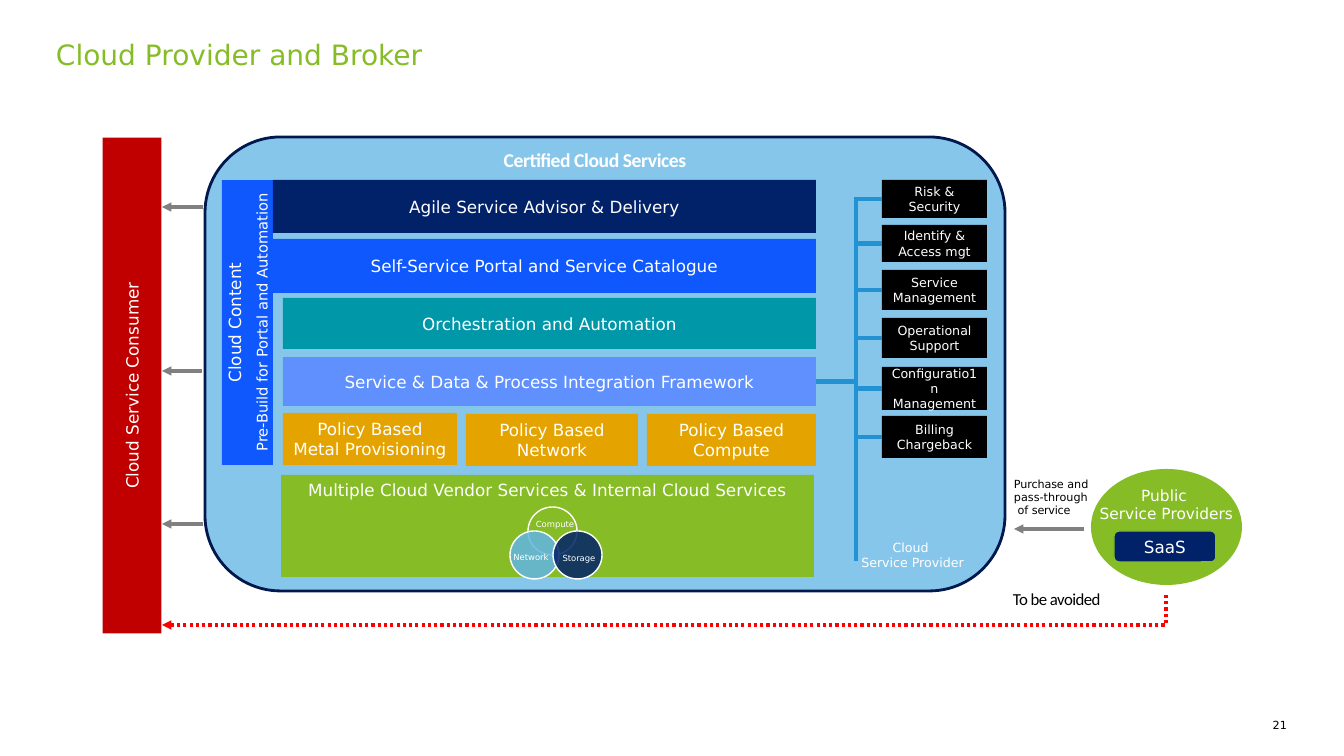
import pptx
import pptx.dml.color
import pptx.enum.dml
import pptx.enum.shapes
import pptx.enum.text
import pptx.oxml
import pptx.oxml.ns
import pptx.util
import lxml.etree

# Content: lengths in px, boxes as (left, top, width, height)
WHITE, BLACK, NAVY, GREEN = "FFFFFF", "000000", "012169", "86BC25"
BLUE, SKY, AMBER, LINK, GRAY = "0F58FD", "62B5E5", "E5A300", "2392D2", "808080"
SANS, CALIBRI = "DejaVu Sans", "Calibri"

TITLE = "Cloud Provider and Broker"
PANEL = (205, 137, 800, 454)
SIDE_BARS = [  # turned by 270 degrees, runs are (text, size, letter spacing)
    ((-116, 356, 496, 59), "C00000", [[("Cloud Service Consumer", 12, 0)]]),
    ((105, 297, 285, 51), BLUE, [[("Cloud Content", 12, 0)],
                                 [("Pre-Build for Portal and Automation", 10.5, 0)]]),
]
LAYERS = [
    ("Agile Service Advisor & Delivery", (273, 180, 543, 53), NAVY),
    ("Self-Service Portal and Service Catalogue", (273, 239, 543, 54), BLUE),
    ("Orchestration and Automation", (283, 298, 533, 51), "0097A9"),
    ("Policy Based Metal Provisioning", (283, 413, 174, 52), AMBER),
    ("Policy Based Network", (466, 414, 172, 52), AMBER),
    ("Policy Based Compute", (647, 414, 169, 52), AMBER),
    ("Service & Data & Process Integration Framework", (283, 357, 533, 49), "5F90FD"),
]
VENDORS = ("Multiple Cloud Vendor Services & Internal Cloud Services", (281, 475, 533, 102))
CONTROL_LEFT, CONTROL_WIDTH = 882, 105
CONTROLS = [  # text, top, height, side margin
    ("Risk &\nSecurity", 180, 38, 10), ("Identify & Access mgt", 225, 37, 10),
    ("Service Management", 270, 40, 10), ("Operational Support", 318, 40, 10),
    ("Configuratio1n Management", 367, 43, 6), ("Billing Chargeback", 416, 42, 10),
]
TRUNK_X, TRUNK_BOTTOM = 856, 561
CIRCLE_WIDTH, CIRCLE_HEIGHT = 49, 48
CIRCLES = [  # label, circle corner, fill, label box
    ("Compute", (528, 507), GREEN, (534, 519, 42, 10)),
    ("Network", (510, 531), SKY, (510, 552, 42, 10)),
    ("Storage", (553, 531), NAVY, (558, 553, 42, 10)),
]
NOTES = [  # box, paragraphs, font, colour, bold, centred, top margin
    ((222, 147, 746, 25), [[("Certified Cloud Services", 14, -0.3)]], CALIBRI, WHITE, True, True, 1),
    ((847, 540, 131, 29), [[("Cloud \nService Provider", 9, 0)]], SANS, WHITE, False, True, 0),
    ((1014, 476, 80, 42), [[("Purchase ", 8, -0.1), ("and \npass-through\n of ", 8, 0),
                            ("service", 8, -0.2)]], SANS, BLACK, False, False, 1),
    ((1013, 588, 121, 22), [[("To be avoided", 12, -0.4)]], CALIBRI, BLACK, False, False, 1),
]
ARROWS = [((203, 207), (162, 207)), ((202, 371), (162, 371)),
          ((203, 524), (162, 524)), ((1084, 529), (1014, 529))]
AVOIDED_ROUTE = ((1166, 595), (162, 625))

SHAPE = pptx.enum.shapes.MSO_SHAPE
CONNECTOR = pptx.enum.shapes.MSO_CONNECTOR
ALIGN = pptx.enum.text.PP_ALIGN
ANCHOR = pptx.enum.text.MSO_ANCHOR


def px(length):
    return round(length * 914400 / 100.8)


def emu(lengths):
    return [px(length) for length in lengths]


def rgb(color):
    return pptx.dml.color.RGBColor.from_string(color)


def write(shape, paragraphs, color=WHITE, font=SANS, bold=False, align=ALIGN.CENTER,
          anchor=ANCHOR.MIDDLE, margins=(10, 5, 10, 5), wrap=True):
    """Fill a shape with paragraphs, each a list of (text, size, letter spacing)."""
    frame = shape.text_frame
    frame.word_wrap = wrap
    frame.auto_size = pptx.enum.text.MSO_AUTO_SIZE.NONE
    frame.vertical_anchor = anchor
    (frame.margin_left, frame.margin_top,
     frame.margin_right, frame.margin_bottom) = emu(margins)
    for index, runs in enumerate(paragraphs):
        para = frame.add_paragraph() if index else frame.paragraphs[0]
        para.alignment = align
        para.space_before = pptx.util.Pt(6 if index else 0)
        for text, size, spacing in runs:
            for row, part in enumerate(text.split("\n")):
                if row:
                    para.add_line_break()
                span = para.add_run()
                span.text = part
                span.font.name = font
                span.font.size = pptx.util.Pt(size)
                span.font.bold = bold
                span.font.color.rgb = rgb(color)
                if spacing:
                    span.font._element.set("spc", str(round(spacing * 100)))


def add_block(page, kind, box, fill, line=None, width=1, opacity=100):
    shape = page.shapes.add_shape(kind, *emu(box))
    shape.shadow.inherit = False
    shape.fill.solid()
    shape.fill.fore_color.rgb = rgb(fill)
    if opacity < 100:
        color = shape._element.spPr.find(".//" + pptx.oxml.ns.qn("a:srgbClr"))
        lxml.etree.SubElement(color, pptx.oxml.ns.qn("a:alpha"), val=str(opacity * 1000))
    if line:
        shape.line.color.rgb = rgb(line)
        shape.line.width = pptx.util.Pt(width)
    else:
        shape.line.fill.background()
    return shape


def add_text(page, box, paragraphs, **style):
    write(page.shapes.add_textbox(*emu(box)), paragraphs, **style)


def add_line(page, start, end, color, width, arrow=False, kind=CONNECTOR.STRAIGHT):
    line = page.shapes.add_connector(kind, *emu(start + end))
    line.line.color.rgb = rgb(color)
    line.line.width = pptx.util.Pt(width)
    if arrow:
        lxml.etree.SubElement(line.line._get_or_add_ln(), pptx.oxml.ns.qn("a:tailEnd"),
                              type="triangle")
    lxml.etree.SubElement(line._element.spPr, pptx.oxml.ns.qn("a:effectLst"))
    return line


def add_layers(page):
    for box, fill, paragraphs in SIDE_BARS:
        bar = add_block(page, SHAPE.RECTANGLE, box, fill)
        bar.rotation = 270
        write(bar, paragraphs)
    for text, box, fill in LAYERS:
        layer = add_block(page, SHAPE.RECTANGLE, box, fill)
        write(layer, [[(text, 12, 0)]])
    left, top, width, height = box
    middle = top + height / 2
    link = add_line(page, (left + width, middle), (TRUNK_X, middle), LINK, 3)
    link.begin_connect(layer, 3)


def add_controls(page):
    trunk_top = CONTROLS[0][1] + CONTROLS[0][2] / 2 - 2
    add_line(page, (TRUNK_X, TRUNK_BOTTOM), (TRUNK_X, trunk_top), LINK, 3)
    for text, top, height, margin in CONTROLS:
        control = add_block(page, SHAPE.RECTANGLE,
                            (CONTROL_LEFT, top, CONTROL_WIDTH, height), BLACK)
        write(control, [[(text, 9, 0)]], margins=(margin, 5, margin, 5))
        middle = top + height / 2
        branch = add_line(page, (CONTROL_LEFT, middle), (TRUNK_X, middle), LINK, 3)
        branch.begin_connect(control, 1)


def add_vendors(page):
    text, box = VENDORS
    vendors = add_block(page, SHAPE.RECTANGLE, box, GREEN)
    write(vendors, [[(text, 12, 0)]], anchor=ANCHOR.TOP)
    for label, corner, fill, label_box in CIRCLES:
        add_block(page, SHAPE.OVAL, corner + (CIRCLE_WIDTH, CIRCLE_HEIGHT), fill, WHITE, 1, 85)
        add_text(page, label_box, [[(label, 6, 0)]], margins=(0, 0, 0, 0),
                 anchor=ANCHOR.TOP, wrap=False)


def add_public_providers(page):
    oval = add_block(page, SHAPE.OVAL, (1091, 469, 151, 116), GREEN)
    write(oval, [[("Public \nService Providers", 11, 0)]], anchor=ANCHOR.TOP,
          margins=(0, 0, 0, 0), wrap=False)
    saas = add_block(page, SHAPE.ROUNDED_RECTANGLE, (1114, 531, 102, 31), NAVY, GREEN)
    write(saas, [[("SaaS", 12, 0)]])


def add_arrows(page):
    for start, end in ARROWS:
        add_line(page, start, end, GRAY, 2.25, arrow=True)
    route = add_line(page, *AVOIDED_ROUTE, "FF0000", 2.25, arrow=True, kind=CONNECTOR.ELBOW)
    route.line.dash_style = pptx.enum.dml.MSO_LINE.ROUND_DOT
    guides = route._element.spPr.find(".//" + pptx.oxml.ns.qn("a:avLst"))
    lxml.etree.SubElement(guides, pptx.oxml.ns.qn("a:gd"), name="adj1", fmla="val 0")


def main():
    deck = pptx.Presentation()
    deck.slide_width, deck.slide_height = emu((1344, 756))
    page = deck.slides.add_slide(deck.slide_layouts[5])
    title = page.shapes.title
    title.left, title.top, title.width, title.height = emu((56, 37, 1232, 34))
    write(title, [[(TITLE, 20, 0)]], color=GREEN, align=ALIGN.LEFT, margins=(0, 0, 0, 0))
    add_block(page, SHAPE.ROUNDED_RECTANGLE, PANEL, SKY, "01184E", 2, 76)
    add_layers(page)
    add_controls(page)
    add_vendors(page)
    add_public_providers(page)
    for box, paragraphs, font, color, bold, centred, top_margin in NOTES:
        add_text(page, box, paragraphs, font=font, color=color, bold=bold,
                 align=ALIGN.CENTER if centred else ALIGN.LEFT,
                 anchor=ANCHOR.TOP, margins=(0, top_margin, 0, 0))
    add_arrows(page)
    add_text(page, (1264, 719, 23, 13), [[("21", 8, 0)]], color=BLACK,
             align=ALIGN.RIGHT, margins=(0, 0, 0, 0))
    deck.save("out.pptx")


if __name__ == "__main__":
    main()
